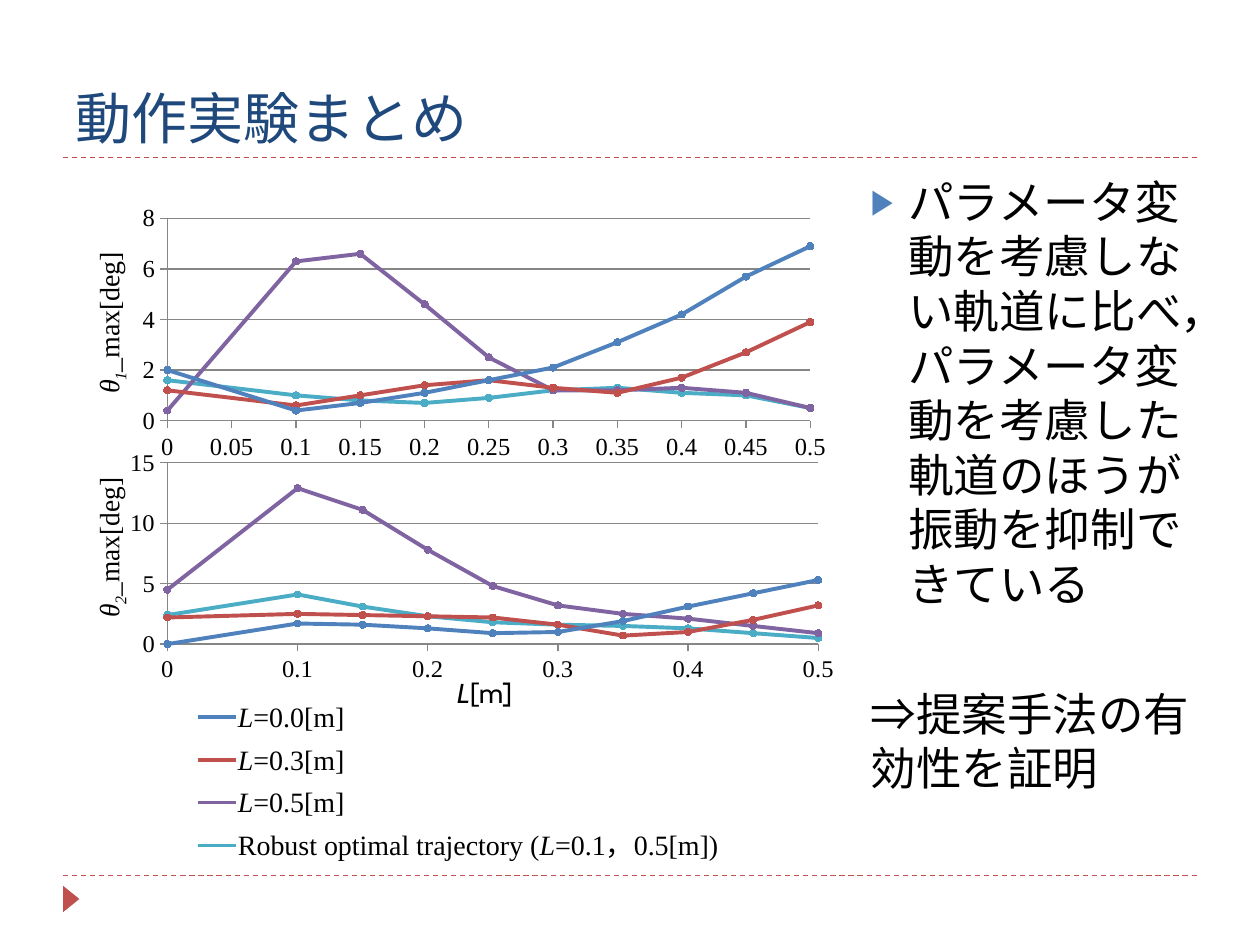
import dataclasses
import typing

import lxml.etree
import pptx
import pptx.chart.data
import pptx.dml.color
import pptx.enum.chart
import pptx.enum.dml
import pptx.enum.shapes
import pptx.enum.text
import pptx.oxml.ns
import pptx.util

Inches = pptx.util.Inches
Pt = pptx.util.Pt
qn = pptx.oxml.ns.qn


@dataclasses.dataclass(frozen=True)
class Theme:
    title: str = "1F497D"
    text: str = "000000"
    accent: str = "C0504D"
    bullet: str = "4F81BD"
    axis: str = "868686"
    series: tuple = ("4F81BD", "C0504D", "8064A2", "4BACC6")
    title_font: str = "Roboto Slab"
    body_font: str = "Cabin"
    chart_font: str = "Times New Roman"
    title_size: int = 32
    body_size: int = 26
    label_size: int = 16
    tick_size: int = 14


class Run(typing.NamedTuple):
    text: str
    italic: bool = False
    subscript: bool = False


class AxisTitle(typing.NamedTuple):
    runs: tuple
    left: float
    top: float
    font: str


class ScatterChart(typing.NamedTuple):
    top: float
    plot: tuple
    horizontal_step: float
    vertical_limit: float
    vertical_step: float
    vertical_title: AxisTitle
    horizontal_title: typing.Optional[AxisTitle]
    series: tuple


class LegendEntry(typing.NamedTuple):
    runs: tuple
    width: float
    height: float


THEME = Theme()
LENGTHS = (0, 0.1, 0.15, 0.2, 0.25, 0.3, 0.35, 0.4, 0.45, 0.5)


def angle_title(index: str, top: float) -> AxisTitle:
    runs = (Run("θ", True), Run(index, True, True), Run("_max[deg]"))
    return AxisTitle(runs, 0.03, top, THEME.chart_font)


CHARTS = (
    ScatterChart(
        1.47, (0.13, 0.12, 0.81, 0.73), 0.05, 8, 2, angle_title("1", 0.23), None,
        ((2, 0.4, 0.7, 1.1, 1.6, 2.1, 3.1, 4.2, 5.7, 6.9),
         (1.2, 0.6, 1, 1.4, 1.6, 1.3, 1.1, 1.7, 2.7, 3.9),
         (0.4, 6.3, 6.6, 4.6, 2.5, 1.2, 1.2, 1.3, 1.1, 0.5),
         (1.6, 1, 0.8, 0.7, 0.9, 1.2, 1.3, 1.1, 1, 0.5))),
    ScatterChart(
        3.48, (0.13, 0.09, 0.82, 0.67), 0.1, 15, 5, angle_title("2", 0.14),
        AxisTitle((Run("L", True), Run("[m]")), 0.49, 0.86, THEME.body_font),
        ((0, 1.7, 1.6, 1.3, 0.9, 1, 1.9, 3.1, 4.2, 5.3),
         (2.2, 2.5, 2.4, 2.3, 2.2, 1.6, 0.7, 1, 2, 3.2),
         (4.5, 12.9, 11.1, 7.8, 4.8, 3.2, 2.5, 2.1, 1.5, 0.9),
         (2.4, 4.1, 3.1, 2.3, 1.8, 1.6, 1.5, 1.3, 0.9, 0.5))),
)
LEGEND = (
    LegendEntry((Run("L", True), Run("=0.0[m]")), 2.06, 0.91),
    LegendEntry((Run("L", True), Run("=0.3[m]")), 1.91, 0.89),
    LegendEntry((Run("L", True), Run("=0.5[m]")), 1.67, 0.71),
    LegendEntry((Run("Robust optimal trajectory ("), Run("L", True), Run("=0.1，0.5[m])")), 4.81, 0.91),
)


def apply_format(target, values: dict) -> None:
    for name, value in values.items():
        setattr(target, name, value)


def color(value: str):
    return pptx.dml.color.RGBColor.from_string(value)


def format_font(font, name: str, size: int, rgb: str = THEME.text, **values) -> None:
    apply_format(font, {"name": name, "size": Pt(size), **values})
    font.color.rgb = color(rgb)


def format_line(line, rgb: str, width: float) -> None:
    line.color.rgb = color(rgb)
    line.width = Pt(width)


def place(shape, left: float, top: float, width: float, height: float) -> None:
    values = {"left": left, "top": top, "width": width, "height": height}
    apply_format(shape, {name: Inches(value) for name, value in values.items()})


def add_runs(paragraph, runs: tuple, font: str) -> None:
    for item in runs:
        run = paragraph.add_run()
        run.text = item.text
        format_font(run.font, font, THEME.label_size, italic=item.italic, bold=False)
        if item.subscript:
            run._r.get_or_add_rPr().set("baseline", "-25000")


def add_line(shapes, left: float, right: float, top: float, rgb: str, width: float):
    line = shapes.add_connector(
        pptx.enum.shapes.MSO_CONNECTOR.STRAIGHT, Inches(left), Inches(top), Inches(right), Inches(top))
    format_line(line.line, rgb, width)
    lxml.etree.SubElement(line._element.spPr, qn("a:effectLst"))
    return line


def set_layout(parent, position: int, values: dict) -> None:
    for layout in parent.findall(qn("c:layout")):
        parent.remove(layout)
    layout = lxml.etree.Element(qn("c:layout"))
    parent.insert(position, layout)
    manual = lxml.etree.SubElement(layout, qn("c:manualLayout"))
    for name, value in values.items():
        lxml.etree.SubElement(manual, qn(f"c:{name}")).set("val", str(value))


def add_axis_title(axis, title: AxisTitle, rotation: int) -> None:
    frame = axis.axis_title.text_frame
    frame._txBody.bodyPr.set("rot", str(rotation))
    add_runs(frame.paragraphs[0], title.runs, title.font)
    set_layout(axis.axis_title._element, 1,
               {"xMode": "edge", "yMode": "edge", "x": title.left, "y": title.top})


def format_axis(axis, limit: float, step: float, gridlines: bool) -> None:
    apply_format(axis, {
        "minimum_scale": 0, "maximum_scale": limit, "major_unit": step,
        "has_major_gridlines": gridlines, "has_title": False,
        "major_tick_mark": pptx.enum.chart.XL_TICK_MARK.OUTSIDE,
        "minor_tick_mark": pptx.enum.chart.XL_TICK_MARK.NONE})
    apply_format(axis.tick_labels, {"number_format": "General", "number_format_is_linked": False})
    format_font(axis.tick_labels.font, THEME.chart_font, THEME.tick_size)
    format_line(axis.format.line, THEME.axis, 0.75)
    if gridlines:
        format_line(axis.major_gridlines.format.line, THEME.axis, 0.75)


def add_scatter_chart(slide, content: ScatterChart) -> None:
    data = pptx.chart.data.XyChartData()
    for number, values in enumerate(content.series, 1):
        series = data.add_series(f"Series {number}")
        for length, value in zip(LENGTHS, values):
            series.add_data_point(length, value)
    chart = slide.shapes.add_chart(
        pptx.enum.chart.XL_CHART_TYPE.XY_SCATTER_SMOOTH,
        Inches(0.51), Inches(content.top), Inches(6.3), Inches(2.2), data).chart
    apply_format(chart, {"has_legend": False, "has_title": False})
    format_font(chart.font, THEME.body_font, THEME.tick_size)
    chart.plots[0].vary_by_categories = False
    format_axis(chart.category_axis, 0.5, content.horizontal_step, False)
    format_axis(chart.value_axis, content.vertical_limit, content.vertical_step, True)
    add_axis_title(chart.value_axis, content.vertical_title, -5400000)
    if content.horizontal_title:
        add_axis_title(chart.category_axis, content.horizontal_title, 0)
    for series, rgb in zip(chart.plots[0].series, THEME.series):
        series.smooth = True
        format_line(series.format.line, rgb, 2.25)
        apply_format(series.marker, {"style": pptx.enum.chart.XL_MARKER_STYLE.CIRCLE, "size": 4})
        series.marker.format.fill.solid()
        series.marker.format.fill.fore_color.rgb = color(rgb)
        format_line(series.marker.format.line, rgb, 0.75)
    plot_area = chart._chartSpace.find(f".//{qn('c:plotArea')}")
    set_layout(plot_area, 0, {"layoutTarget": "inner", "xMode": "edge", "yMode": "edge",
                              **dict(zip("xywh", content.plot))})


def add_legend_entry(slide, entry: LegendEntry, row: int) -> None:
    group = slide.shapes.add_group_shape()
    top = 5.5 + row * 0.34
    box = group.shapes.add_textbox(Inches(1.79), Inches(top), Inches(entry.width), Inches(entry.height))
    box.text_frame.word_wrap = True
    paragraph = box.text_frame.paragraphs[0]
    paragraph.alignment = pptx.enum.text.PP_ALIGN.JUSTIFY
    add_runs(paragraph, entry.runs, THEME.chart_font)
    add_line(group.shapes, 1.57, 1.87, top + 0.19, THEME.series[row], 2)


def add_bullet(paragraph) -> None:
    properties = paragraph._p.get_or_add_pPr()
    bullet_color = lxml.etree.SubElement(properties, qn("a:buClr"))
    lxml.etree.SubElement(bullet_color, qn("a:srgbClr")).set("val", THEME.bullet)
    lxml.etree.SubElement(properties, qn("a:buSzPct")).set("val", "76000")
    lxml.etree.SubElement(properties, qn("a:buChar")).set("char", "▶")


def add_conclusion(body) -> None:
    place(body, 6.81, 1.33, 2.83, 5.4)
    frame = body.text_frame
    apply_format(frame, {"word_wrap": True, "auto_size": pptx.enum.text.MSO_AUTO_SIZE.NONE})
    finding, result = frame.paragraphs[0], frame.add_paragraph()
    finding.text = "パラメータ変動を考慮しない軌道に比べ，パラメータ変動を考慮した軌道のほうが振動を抑制できている"
    result.text = "⇒提案手法の有効性を証明"
    add_bullet(finding)
    lxml.etree.SubElement(result._p.get_or_add_pPr(), qn("a:buNone"))
    for paragraph, indent, space in ((finding, 0.3, 0), (result, 0, 43)):
        properties = paragraph._p.get_or_add_pPr()
        properties.set("marL", str(Inches(indent)))
        properties.set("indent", str(-Inches(indent)))
        paragraph.space_before = Pt(space)
        format_font(paragraph.font, THEME.body_font, THEME.body_size)


def main() -> None:
    presentation = pptx.Presentation()
    apply_format(presentation, {"slide_width": Inches(10), "slide_height": Inches(7.5)})
    slide = presentation.slides.add_slide(presentation.slide_layouts[1])
    for top in (6.95, 1.25):
        rule = add_line(slide.shapes, 0.5, 9.5, top, THEME.accent, 0.75)
        rule.line.dash_style = pptx.enum.dml.MSO_LINE.DASH
    marker = slide.shapes.add_shape(
        pptx.enum.shapes.MSO_SHAPE.ISOSCELES_TRIANGLE, Inches(0.46), Inches(7.07), Inches(0.21), Inches(0.13))
    marker.rotation = 90
    marker.shadow.inherit = False
    marker.fill.solid()
    marker.fill.fore_color.rgb = color(THEME.accent)
    marker.line.fill.background()
    title = slide.shapes.title
    place(title, 0.5, 0.17, 9, 1.08)
    title.text_frame.text = "動作実験まとめ"
    title.text_frame.vertical_anchor = pptx.enum.text.MSO_ANCHOR.BOTTOM
    paragraph = title.text_frame.paragraphs[0]
    paragraph.alignment = pptx.enum.text.PP_ALIGN.LEFT
    format_font(paragraph.font, THEME.title_font, THEME.title_size, THEME.title)
    add_conclusion(slide.placeholders[1])
    for content in CHARTS:
        add_scatter_chart(slide, content)
    for row, entry in enumerate(LEGEND):
        add_legend_entry(slide, entry, row)
    presentation.save("out.pptx")


if __name__ == "__main__":
    main()
